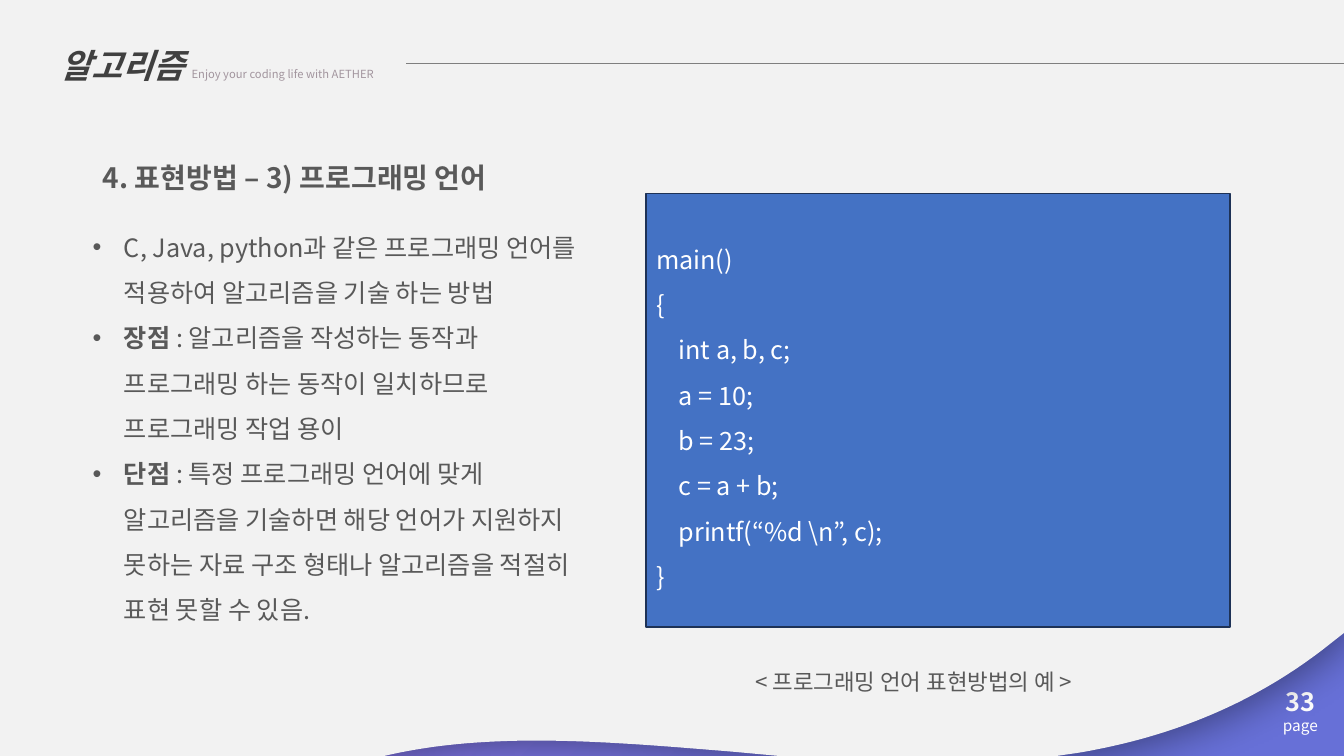
from lxml import etree
from pptx import Presentation
from pptx.dml.color import RGBColor
from pptx.enum.shapes import MSO_CONNECTOR, MSO_SHAPE
from pptx.enum.text import MSO_ANCHOR, MSO_AUTO_SIZE, PP_ALIGN
from pptx.oxml.ns import qn
from pptx.util import Inches, Pt

LEFT, CENTER = PP_ALIGN.LEFT, PP_ALIGN.CENTER
TOP, MIDDLE = MSO_ANCHOR.TOP, MSO_ANCHOR.MIDDLE
FIXED = MSO_AUTO_SIZE.NONE
STRAIGHT, RECT = MSO_CONNECTOR.STRAIGHT, MSO_SHAPE.RECTANGLE

# Theme: colours, font and text styles (size, colour, bold, italic)
THEME = {
    "font": "Noto Sans CJK KR",
    "glow": "9E78EF", "deep": "6770D7", "panel": "F2F2F2", "rule": "7F7F7F",
    "code": "4472C4", "edge": "1E3256", "shade": "000000",
    "styles": {
        "number": (18, "FFFFFF", True, False),
        "page": (11, "FFFFFF", False, False),
        "brand": (24, "404040", True, True),
        "motto": (8, "A2959E", False, False),
        "title": (20, "595959", True, False),
        "body": (18, "595959", False, False),
        "strong": (18, "595959", True, False),
        "note": (16, "595959", False, False),
        "code": (18, "FFFFFF", False, False),
    },
}

deck = Presentation()
deck.slide_width, deck.slide_height = Inches(13.333), Inches(7.5)
# Grid of 100 columns by 100 rows
COL, ROW = deck.slide_width / 100, deck.slide_height / 100
slide = deck.slides.add_slide(deck.slide_layouts[1])
shapes = slide.shapes
tree = shapes._spTree


def place(x, y, w, h):
    return [round(n) for n in (x * COL, y * ROW, w * COL, h * ROW)]


def write(frame, lines, align=LEFT, space=1.0, anchor=TOP):
    """Fill a frame; each line is a list of (text, style) pairs."""
    frame.word_wrap, frame.auto_size = True, FIXED
    frame.vertical_anchor = anchor
    for i, line in enumerate(lines):
        para = frame.paragraphs[0] if i == 0 else frame.add_paragraph()
        para.alignment, para.line_spacing = align, space
        para.space_before = Pt(0)
        for text, style in line:
            run = para.add_run()
            run.text = text
            font = run.font
            size, color, font.bold, font.italic = THEME["styles"][style]
            font.size, font.name = Pt(size), THEME["font"]
            font.color.rgb = RGBColor.from_string(color)
            east = etree.SubElement(run._r.get_or_add_rPr(), qn("a:ea"))
            east.set("typeface", THEME["font"])


# Background: radial gradient from the top left corner
back = slide.background.fill
back.gradient()
for stop, spot, color in zip(back.gradient_stops, (0.16, 0.82), ("glow", "deep")):
    stop.position = spot
    stop.color.rgb = RGBColor.from_string(THEME[color])
grad = slide._element.find(".//" + qn("a:gradFill"))
grad.remove(grad.find(qn("a:lin")))
ring = etree.SubElement(grad, qn("a:path"), {"path": "circle"})
etree.SubElement(ring, qn("a:fillToRect"), {"r": "100000", "b": "100000"})

# Page number
page = shapes.add_textbox(*place(93.53, 90.13, 6.45, 8.13))
write(page.text_frame, [[("33", "number")], [("page", "page")]], CENTER)

# Light panel with a wavy lower edge
waves = [
    [(99.23, 84.8), (93.3, 93.33), (86.85, 97.6), (80.18, 99.6)],
    [(54.75, 99.47), (45.45, 98.13), (36.53, 96.67), (28.58, 100)],
]
STEPS = 40
curves = []
for wave in waves:
    points = []
    for k in range(STEPS + 1):
        t = k / STEPS
        parts = ((1 - t) ** 3, 3 * t * (1 - t) ** 2, 3 * t * t * (1 - t), t ** 3)
        points.append(tuple(sum(p * n[axis] for p, n in zip(parts, wave))
                            for axis in (0, 1)))
    curves.append(points)
rim = [(100, 0), (100, 83.73), *curves[0], (78.6, 100), (57.98, 100),
       *curves[1], (0, 100)]
pen = shapes.build_freeform(0, 0, scale=1.0)
pen.add_line_segments([(x * COL, y * ROW) for x, y in rim], close=True)
panel = pen.convert_to_shape()
panel.fill.solid()
panel.fill.fore_color.rgb = RGBColor.from_string(THEME["panel"])
panel.line.fill.background()
panel.shadow.inherit = False
glow = etree.SubElement(
    panel._element.spPr.find(qn("a:effectLst")), qn("a:outerShdw"),
    {"blurRad": str(Pt(30)), "dist": str(Pt(6)), "dir": str(45 * 60000),
     "algn": "tl", "rotWithShape": "0"})
tint = etree.SubElement(glow, qn("a:srgbClr"), {"val": THEME["shade"]})
etree.SubElement(tint, qn("a:alpha"), {"val": "40000"})

# Course name and motto
write(panel.text_frame, [[("알고리즘 ", "brand"),
                          ("Enjoy your coding life with AETHER", "motto")]], space=2.0)
panel.text_frame.paragraphs[0]._p.get_or_add_pPr().set("marL", str(Inches(0.5)))

# Header rule
x, y, w, h = place(30.23, 8.4, 69.77, 0)
rule = shapes.add_connector(STRAIGHT, x, y, x + w, y)
rule.line.color.rgb = RGBColor.from_string(THEME["rule"])
rule.line.width = Pt(1)
etree.SubElement(rule._element.spPr, qn("a:effectLst"))

# Title and list, brought in front of the panel
title, body = shapes.title, slide.placeholders[1]
for item, area in ((title, (6.9, 20.53, 44.78, 5.87)),
                   (body, (6.15, 28, 38.03, 61.33))):
    item.left, item.top, item.width, item.height = place(*area)
    tree.append(item._element)
write(title.text_frame, [[("4. 표현방법 – 3) 프로그래밍 언어", "title")]])
write(body.text_frame, [
    [("C, Java, python과 같은 프로그래밍 언어를 적용하여 알고리즘을 기술 하는 방법", "body")],
    [("장점 ", "strong"),
     (": 알고리즘을 작성하는 동작과 프로그래밍 하는 동작이 일치하므로 프로그래밍 작업 용이", "body")],
    [("단점 ", "strong"),
     (": 특정 프로그래밍 언어에 맞게 알고리즘을 기술하면 해당 언어가 지원하지 못하는 "
      "자료 구조 형태나 알고리즘을 적절히 표현 못할 수 있음.", "body")],
], space=1.5)
for para in body.text_frame.paragraphs:
    props = para._p.get_or_add_pPr()
    props.set("marL", str(Inches(0.31)))
    props.set("indent", str(-Inches(0.31)))
    etree.SubElement(props, qn("a:buFont"), {"typeface": "Arial"})
    etree.SubElement(props, qn("a:buChar"), {"char": "•"})

# Caption
note = shapes.add_textbox(*place(50.03, 87.73, 35.93, 4.93))
write(note.text_frame, [[("< 프로그래밍 언어 표현방법의 예 >", "note")]], CENTER)

# Code sample
code = shapes.add_shape(RECT, *place(48.08, 25.6, 43.43, 57.33))
code.shadow.inherit = False
code.fill.solid()
code.fill.fore_color.rgb = RGBColor.from_string(THEME["code"])
code.line.color.rgb = RGBColor.from_string(THEME["edge"])
code.line.width = Pt(1)
source = r"""main()
{
    int a, b, c;
    a = 10;
    b = 23;
    c = a + b;
    printf(“%d \n”, c);
}"""
write(code.text_frame, [[(row, "code")] for row in source.splitlines()],
      space=1.5, anchor=MIDDLE)

deck.save("out.pptx")
